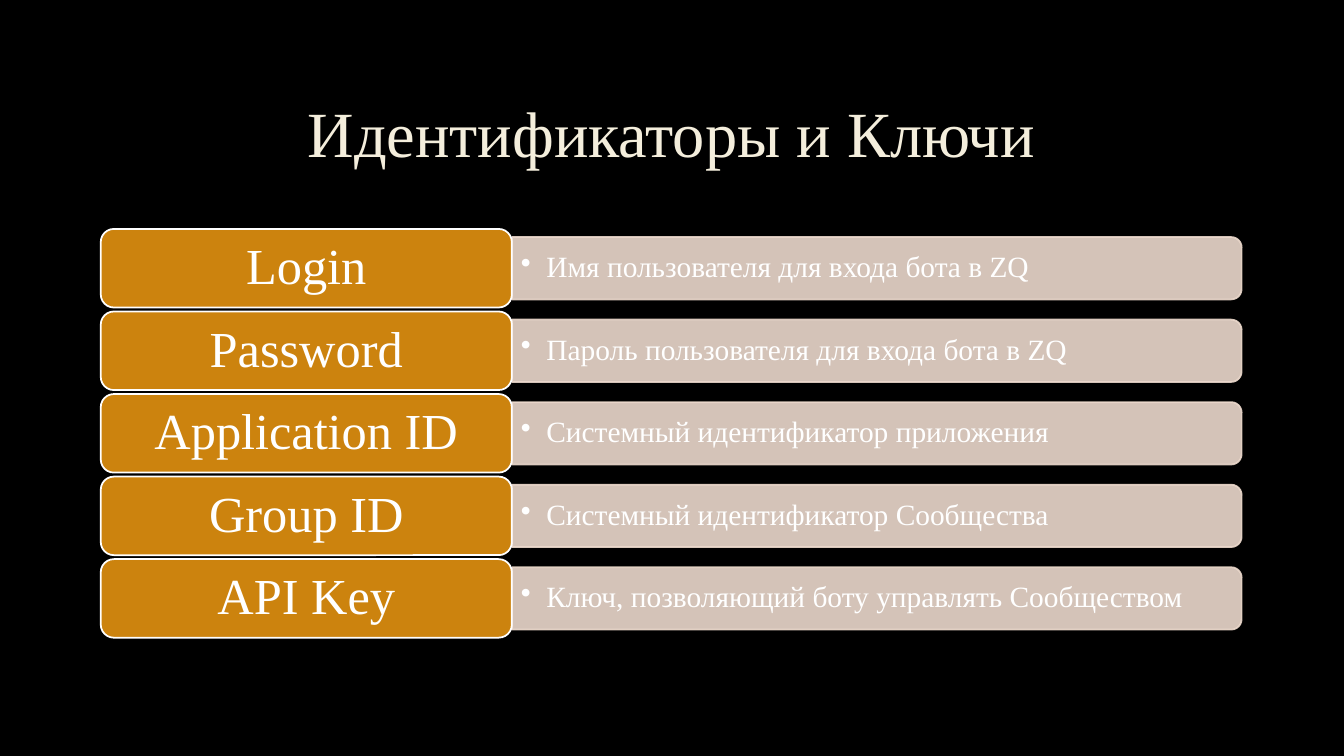
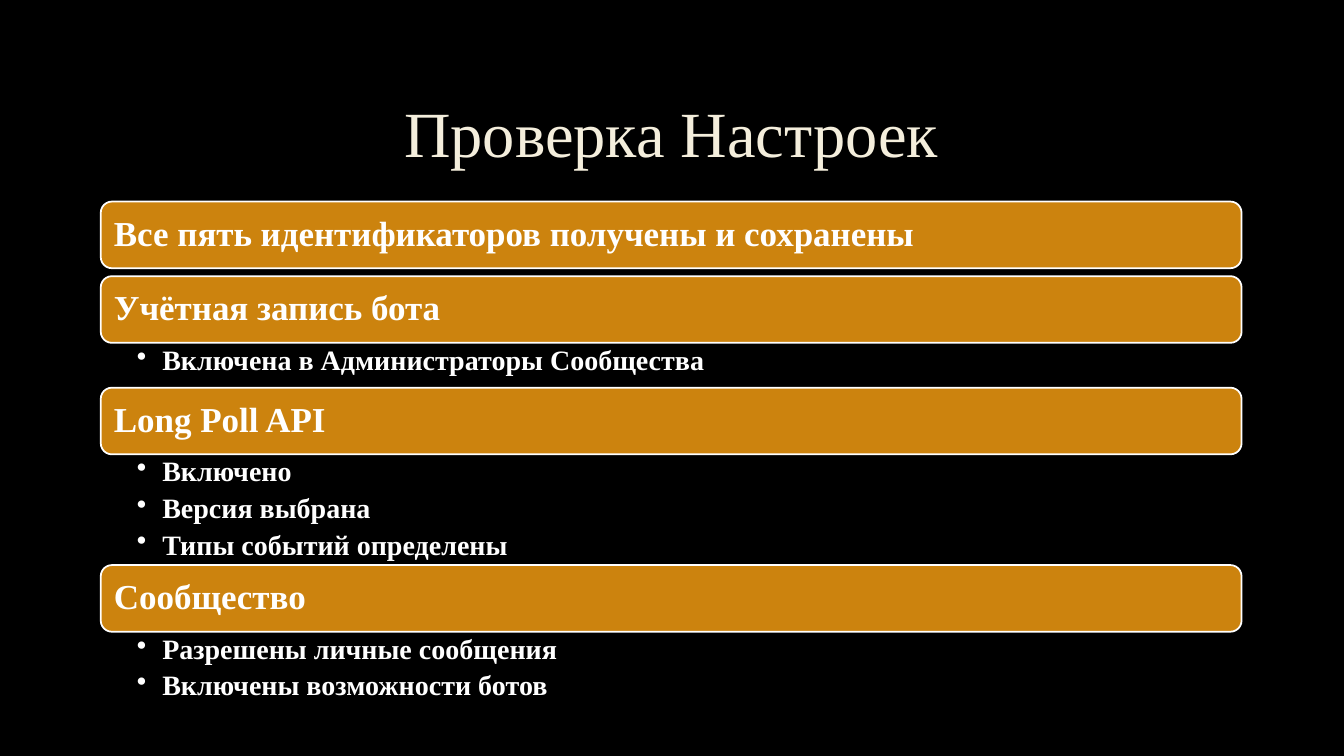
"""Builds two slides on bot identifiers and the settings checklist."""
from dataclasses import dataclass

from lxml import etree
from pptx import Presentation
from pptx.dml.color import RGBColor
from pptx.enum.shapes import MSO_SHAPE
from pptx.enum.text import MSO_ANCHOR, PP_ALIGN
from pptx.oxml.ns import qn
from pptx.util import Cm, Pt

ROUNDED = MSO_SHAPE.ROUNDED_RECTANGLE
TWO_ROUNDED = MSO_SHAPE.ROUND_2_SAME_RECTANGLE
TOP, MIDDLE = MSO_ANCHOR.TOP, MSO_ANCHOR.MIDDLE
LEFT, CENTER = PP_ALIGN.LEFT, PP_ALIGN.CENTER

FONT = "Times New Roman"
BLACK, WHITE, CREAM = "000000", "FFFFFF", "F4EEDC"
ORANGE, BEIGE = "CC830E", "ECD9CC"

SLIDE_WIDTH, SLIDE_HEIGHT = Cm(33.87), Cm(19.05)
MARGIN, CONTENT_WIDTH = Cm(2.54), Cm(28.75)
TITLE_TOP, TITLE_HEIGHT = Cm(1.7), Cm(3.5)

KEYS_TOP, KEY_PITCH = Cm(5.77), Cm(2.08)
KEY_WIDTH, KEY_HEIGHT, BAND_HEIGHT = Cm(10.36), Cm(1.98), Cm(1.57)

CHECKS_TOP, HEADING_HEIGHT, CHECK_GAP = Cm(5.08), Cm(1.68), Cm(0.2)
DETAIL_PADDING, DETAIL_PITCH = Cm(0.3), Cm(0.83)
BULLET_INDENT = Cm(0.64)


@dataclass(frozen=True)
class TextStyle:
    size: float
    color: str = WHITE
    bold: bool = False
    align: int = LEFT
    anchor: int = MIDDLE
    margins: tuple[float, float, float, float] = (0.25, 0.13, 0.25, 0.13)
    bullet: bool = False
    space_after: float = 0


@dataclass(frozen=True)
class Key:
    name: str
    meaning: str


@dataclass(frozen=True)
class Check:
    heading: str
    details: tuple[str, ...] = ()


TITLE_STYLE = TextStyle(46, CREAM, align=CENTER)
KEY_STYLE = TextStyle(36, align=CENTER, margins=(0.38, 0.18, 0.38, 0.18))
MEANING_STYLE = TextStyle(21, margins=(0.23, 0.1, 0.23, 0.1), bullet=True)
HEADING_STYLE = TextStyle(25, bold=True, margins=(0.25,) * 4)
DETAIL_STYLE = TextStyle(20, bold=True, anchor=TOP, bullet=True, space_after=4.6,
                         margins=(0.91, 0.08, 0.48, 0.08))

KEYS = (
    Key("Login", "Имя пользователя для входа бота в ZQ"),
    Key("Password", "Пароль пользователя для входа бота в ZQ"),
    Key("Application ID", "Системный идентификатор приложения"),
    Key("Group ID", "Системный идентификатор Сообщества"),
    Key("API Key", "Ключ, позволяющий боту управлять Сообществом"),
)
CHECKS = (
    Check("Все пять идентификаторов получены и сохранены"),
    Check("Учётная запись бота", ("Включена в Администраторы Сообщества",)),
    Check("Long Poll API", ("Включено", "Версия выбрана", "Типы событий определены")),
    Check("Сообщество", ("Разрешены личные сообщения", "Включены возможности ботов")),
)


def rgb(value: str) -> RGBColor:
    """Turn a hex string into a colour."""
    return RGBColor.from_string(value)


def apply(target, formats: dict) -> None:
    """Set every attribute named in the format values."""
    for name, value in formats.items():
        setattr(target, name, value)


def write(shape, lines: tuple[str, ...], style: TextStyle) -> None:
    """Fill a shape with one styled paragraph per line."""
    left, top, right, bottom = map(Cm, style.margins)
    frame = shape.text_frame
    apply(frame, {"word_wrap": True, "vertical_anchor": style.anchor,
                  "margin_left": left, "margin_top": top,
                  "margin_right": right, "margin_bottom": bottom})
    for index, line in enumerate(lines):
        paragraph = frame.add_paragraph() if index else frame.paragraphs[0]
        apply(paragraph, {"alignment": style.align, "line_spacing": 0.9,
                          "space_after": Pt(style.space_after)})
        if style.bullet:
            properties = paragraph._p.get_or_add_pPr()
            properties.set("marL", str(BULLET_INDENT))
            properties.set("indent", str(-BULLET_INDENT))
            etree.SubElement(properties, qn("a:buChar")).set("char", "•")
        run = paragraph.add_run()
        run.text = line
        apply(run.font, {"name": FONT, "size": Pt(style.size), "bold": style.bold})
        run.font.color.rgb = rgb(style.color)


def add_text(slide, box: tuple[int, int, int, int], lines: tuple[str, ...],
             style: TextStyle) -> None:
    """Add a text box."""
    write(slide.shapes.add_textbox(*box), lines, style)


def add_panel(slide, preset: int, box: tuple[int, int, int, int],
              fill: str, line: str):
    """Add a filled and outlined shape without a shadow."""
    panel = slide.shapes.add_shape(preset, *box)
    panel.shadow.inherit = False
    panel.fill.solid()
    panel.fill.fore_color.rgb = rgb(fill)
    panel.line.color.rgb = rgb(line)
    panel.line.width = Pt(1.25)
    return panel


def add_label(slide, box: tuple[int, int, int, int], text: str,
              style: TextStyle) -> None:
    """Add an orange rounded label."""
    write(add_panel(slide, ROUNDED, box, ORANGE, WHITE), (text,), style)


def add_band(slide, left: int, top: int, length: int) -> None:
    """Add a translucent band whose right corners are rounded."""
    shift = (length - BAND_HEIGHT) // 2
    band = add_panel(slide, TWO_ROUNDED,
                     (left + shift, top - shift, BAND_HEIGHT, length), BEIGE, BEIGE)
    band.rotation = 90
    for color in band._element.spPr.iter(qn("a:srgbClr")):
        etree.SubElement(color, qn("a:alpha")).set("val", "90000")


def add_titled_slide(deck, title: str):
    """Add a black slide with a centred title."""
    slide = deck.slides.add_slide(deck.slide_layouts[6])
    slide.background.fill.solid()
    slide.background.fill.fore_color.rgb = rgb(BLACK)
    add_text(slide, (MARGIN, TITLE_TOP, CONTENT_WIDTH, TITLE_HEIGHT),
             (title,), TITLE_STYLE)
    return slide


def add_keys_slide(deck) -> None:
    """List each key beside its meaning."""
    slide = add_titled_slide(deck, "Идентификаторы и Ключи")
    band_left, band_length = MARGIN + KEY_WIDTH, CONTENT_WIDTH - KEY_WIDTH
    for row, key in enumerate(KEYS):
        top = KEYS_TOP + row * KEY_PITCH
        band_top = top + (KEY_HEIGHT - BAND_HEIGHT) // 2
        add_band(slide, band_left, band_top, band_length)
        add_text(slide, (band_left, band_top, band_length, BAND_HEIGHT),
                 (key.meaning,), MEANING_STYLE)
        add_label(slide, (MARGIN, top, KEY_WIDTH, KEY_HEIGHT), key.name, KEY_STYLE)


def add_checks_slide(deck) -> None:
    """Stack the headings, each followed by its details."""
    slide = add_titled_slide(deck, "Проверка Настроек")
    top = CHECKS_TOP
    for check in CHECKS:
        add_label(slide, (MARGIN, top, CONTENT_WIDTH, HEADING_HEIGHT),
                  check.heading, HEADING_STYLE)
        top += HEADING_HEIGHT
        if check.details:
            height = DETAIL_PADDING + len(check.details) * DETAIL_PITCH
            add_text(slide, (MARGIN, top, CONTENT_WIDTH, height),
                     check.details, DETAIL_STYLE)
            top += height
        else:
            top += CHECK_GAP


def main() -> None:
    """Build and save the presentation."""
    deck = Presentation()
    apply(deck, {"slide_width": SLIDE_WIDTH, "slide_height": SLIDE_HEIGHT})
    add_keys_slide(deck)
    add_checks_slide(deck)
    deck.save("out.pptx")


if __name__ == "__main__":
    main()
